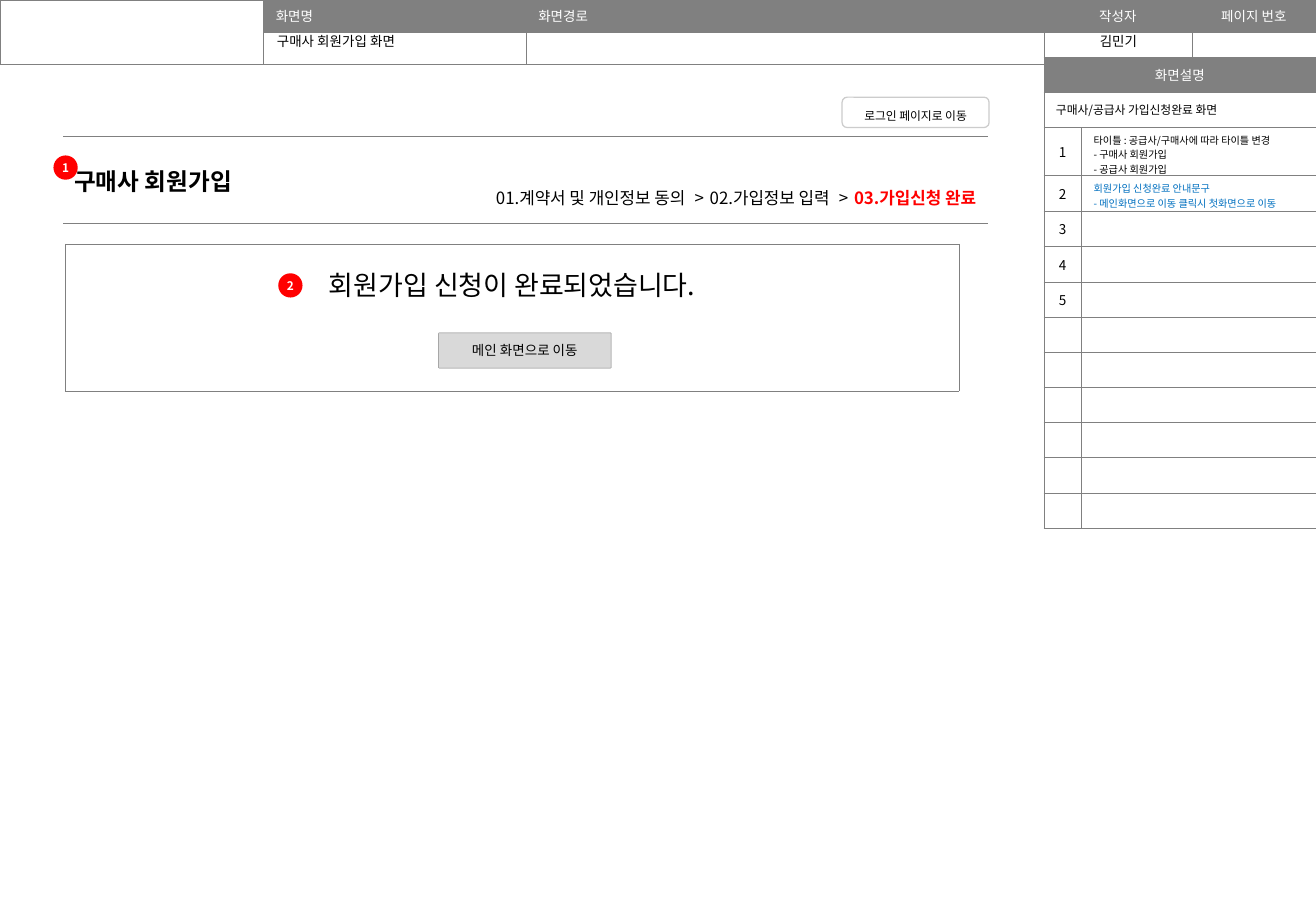
from lxml.etree import SubElement
from pptx import Presentation
from pptx.dml.color import RGBColor
from pptx.enum.shapes import MSO_SHAPE
from pptx.enum.text import MSO_ANCHOR, PP_ALIGN
from pptx.oxml.ns import qn
from pptx.util import Inches, Pt

FONT = "Noto Sans CJK KR"
BLACK = RGBColor(0x00, 0x00, 0x00)
WHITE = RGBColor(0xFF, 0xFF, 0xFF)
GRAY = RGBColor(0x80, 0x80, 0x80)
SILVER = RGBColor(0xCC, 0xCC, 0xCC)
BUTTON_GRAY = RGBColor(0xD9, 0xD9, 0xD9)
RED = RGBColor(0xFF, 0x00, 0x00)
BLUE = RGBColor(0x00, 0x70, 0xC0)


def add_run(paragraph, text, size, color=BLACK, bold=False, align=PP_ALIGN.LEFT):
    paragraph.alignment = align
    run = paragraph.add_run()
    run.text = text
    run.font.size = Pt(size)
    run.font.bold = bold
    run.font.color.rgb = color
    run.font.name = FONT
    SubElement(run.font._element, qn("a:ea"), typeface=FONT)
    return run


def add_grid(left, top, widths, heights, side_color=GRAY, side_weight=0.25):
    frame = slide.shapes.add_table(
        len(heights), len(widths), Inches(left), Inches(top),
        Inches(sum(widths)), Inches(sum(heights)))
    grid = frame.table
    grid.first_row = grid.horz_banding = False
    for column, width in zip(grid.columns, widths):
        column.width = Inches(width)
    for row, height in zip(grid.rows, heights):
        row.height = Inches(height)
    side = (side_color, side_weight)
    edges = {"lnL": side, "lnR": side, "lnT": (GRAY, 0.25), "lnB": (GRAY, 0.25)}
    for cell in grid.iter_cells():
        properties = cell._tc.get_or_add_tcPr()
        for edge, (color, weight) in edges.items():
            border = SubElement(properties, qn(f"a:{edge}"), w=str(Pt(weight)))
            SubElement(SubElement(border, qn("a:solidFill")), qn("a:srgbClr"), val=str(color))
        cell.fill.solid()
        cell.fill.fore_color.rgb = WHITE
        cell.vertical_anchor = MSO_ANCHOR.MIDDLE
        SubElement(cell.text_frame.paragraphs[0]._p, qn("a:endParaRPr"), sz="800")
    return grid


prs = Presentation()
prs.slide_width = Inches(10.83)
prs.slide_height = Inches(7.5)
slide = prs.slides.add_slide(prs.slide_layouts[6])

header = add_grid(0, 0, [2.17, 2.16, 4.26, 1.22, 1.02], [0.26, 0.27])
header.cell(0, 0).merge(header.cell(1, 0))
header_labels = [
    ("화면명", PP_ALIGN.LEFT),
    ("화면경로", PP_ALIGN.LEFT),
    ("작성자", PP_ALIGN.CENTER),
    ("페이지 번호", PP_ALIGN.CENTER),
]
for column, (label, align) in enumerate(header_labels, 1):
    cell = header.cell(0, column)
    cell.fill.fore_color.rgb = GRAY
    add_run(cell.text_frame.paragraphs[0], label, 8, WHITE, align=align)

header_values = [
    ("구매사 회원가입 화면", 2.18, 2.15, PP_ALIGN.LEFT),
    ("김민기", 8.59, 1.23, PP_ALIGN.CENTER),
]
for value, left, width, align in header_values:
    box = slide.shapes.add_textbox(Inches(left), Inches(0.22), Inches(width), Inches(0.24))
    box.text_frame.word_wrap = True
    add_run(box.text_frame.paragraphs[0], value, 8, align=align)

notes = [
    (["타이틀 : 공급사/구매사에 따라 타이틀 변경", "- 구매사 회원가입", "- 공급사 회원가입"], BLACK),
    (["회원가입 신청완료 안내문구", "- 메인화면으로 이동 클릭시 첫화면으로 이동"], BLUE),
]
description = add_grid(8.59, 0.47, [0.31, 1.93], [0.29] * 2 + [0.39, 0.3] + [0.29] * 9)
for row in range(2):
    description.cell(row, 0).merge(description.cell(row, 1))
description.cell(0, 0).fill.fore_color.rgb = GRAY
add_run(description.cell(0, 0).text_frame.paragraphs[0], "화면설명", 8, WHITE, align=PP_ALIGN.CENTER)
add_run(description.cell(1, 0).text_frame.paragraphs[0], "구매사/공급사 가입신청완료 화면", 7)
for number in range(1, 6):
    cell = description.cell(number + 1, 0)
    add_run(cell.text_frame.paragraphs[0], str(number), 8, align=PP_ALIGN.CENTER)
for row, (lines, color) in enumerate(notes, 2):
    cell = description.cell(row, 1)
    cell.margin_top = Inches(0.04)
    cell.margin_bottom = 0
    for index, line in enumerate(lines):
        frame = cell.text_frame
        paragraph = frame.add_paragraph() if index else frame.paragraphs[0]
        add_run(paragraph, line, 6, color)

heading = add_grid(0.51, 1.12, [7.63], [0.72], WHITE, 1).cell(0, 0)
add_run(heading.text_frame.paragraphs[0], "구매사 회원가입", 14, bold=True)

steps = slide.shapes.add_textbox(Inches(3.46), Inches(1.48), Inches(4.67), Inches(0.3))
steps.text_frame.word_wrap = True
steps.text_frame.vertical_anchor = MSO_ANCHOR.MIDDLE
step_line = steps.text_frame.paragraphs[0]
for step in ("01.계약서 및 개인정보 동의", "02.가입정보 입력"):
    add_run(step_line, step, 10, align=PP_ALIGN.RIGHT)
    for separator, tracking in ((" ", 330), ("> ", 60)):
        gap = add_run(step_line, separator, 10, align=PP_ALIGN.RIGHT)
        gap.font._element.set("spc", str(tracking))
add_run(step_line, "03.가입신청 완료", 10, RED, True, PP_ALIGN.RIGHT)

message = add_grid(0.54, 2.01, [7.35], [1.21]).cell(0, 0)
message.vertical_anchor = MSO_ANCHOR.TOP
message.margin_top = Inches(0.17)
add_run(message.text_frame.paragraphs[0], "회원가입 신청이 완료되었습니다.", 16, align=PP_ALIGN.CENTER)

buttons_and_badges = [
    ("로그인 페이지로 이동", (6.93, 0.8, 1.21, 0.25), 0.17, WHITE, SILVER, 0.75, 7, BLACK, 1.5),
    ("메인 화면으로 이동", (3.61, 2.74, 1.42, 0.29), 0.02, BUTTON_GRAY, GRAY, 0.25, 8, BLACK, 1),
    ("2", (2.29, 2.25, 0.2, 0.2), 0.5, RED, None, 0, 7, WHITE, 1),
    ("1", (0.44, 1.28, 0.2, 0.2), 0.5, RED, None, 0, 7, WHITE, 1),
]
for label, place, rounding, fill, outline, weight, size, color, spacing in buttons_and_badges:
    item = slide.shapes.add_shape(MSO_SHAPE.ROUNDED_RECTANGLE, *map(Inches, place))
    item.adjustments[0] = rounding
    item.shadow.inherit = False
    item.fill.solid()
    item.fill.fore_color.rgb = fill
    if outline:
        item.line.color.rgb = outline
        item.line.width = Pt(weight)
    else:
        item.line.fill.background()
    frame = item.text_frame
    inset = Inches(0.1 if outline else 0)
    frame.margin_left = frame.margin_right = frame.margin_top = frame.margin_bottom = inset
    frame.vertical_anchor = MSO_ANCHOR.MIDDLE
    frame.paragraphs[0].line_spacing = spacing
    add_run(frame.paragraphs[0], label, size, color, not outline, PP_ALIGN.CENTER)

prs.save("out.pptx")
